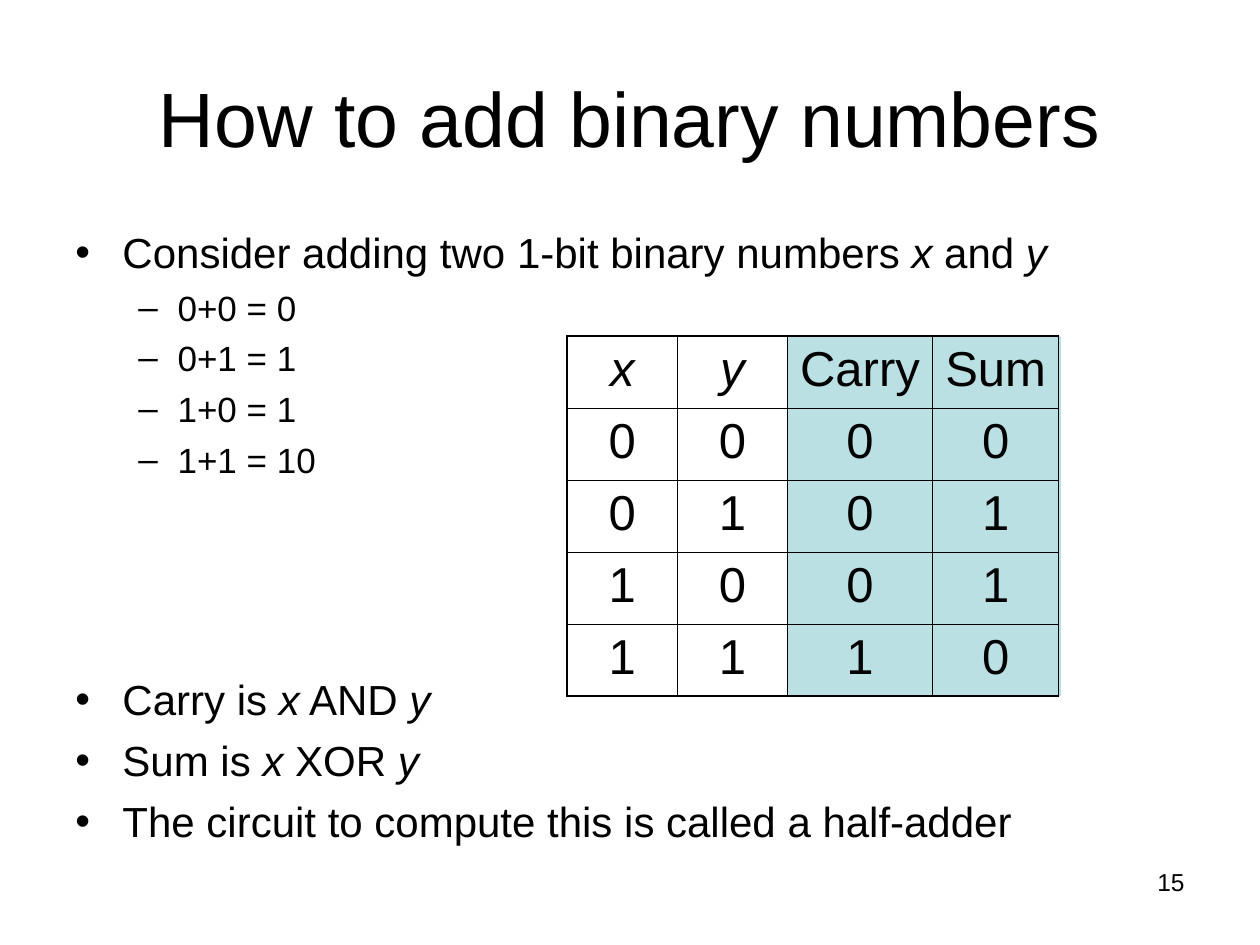
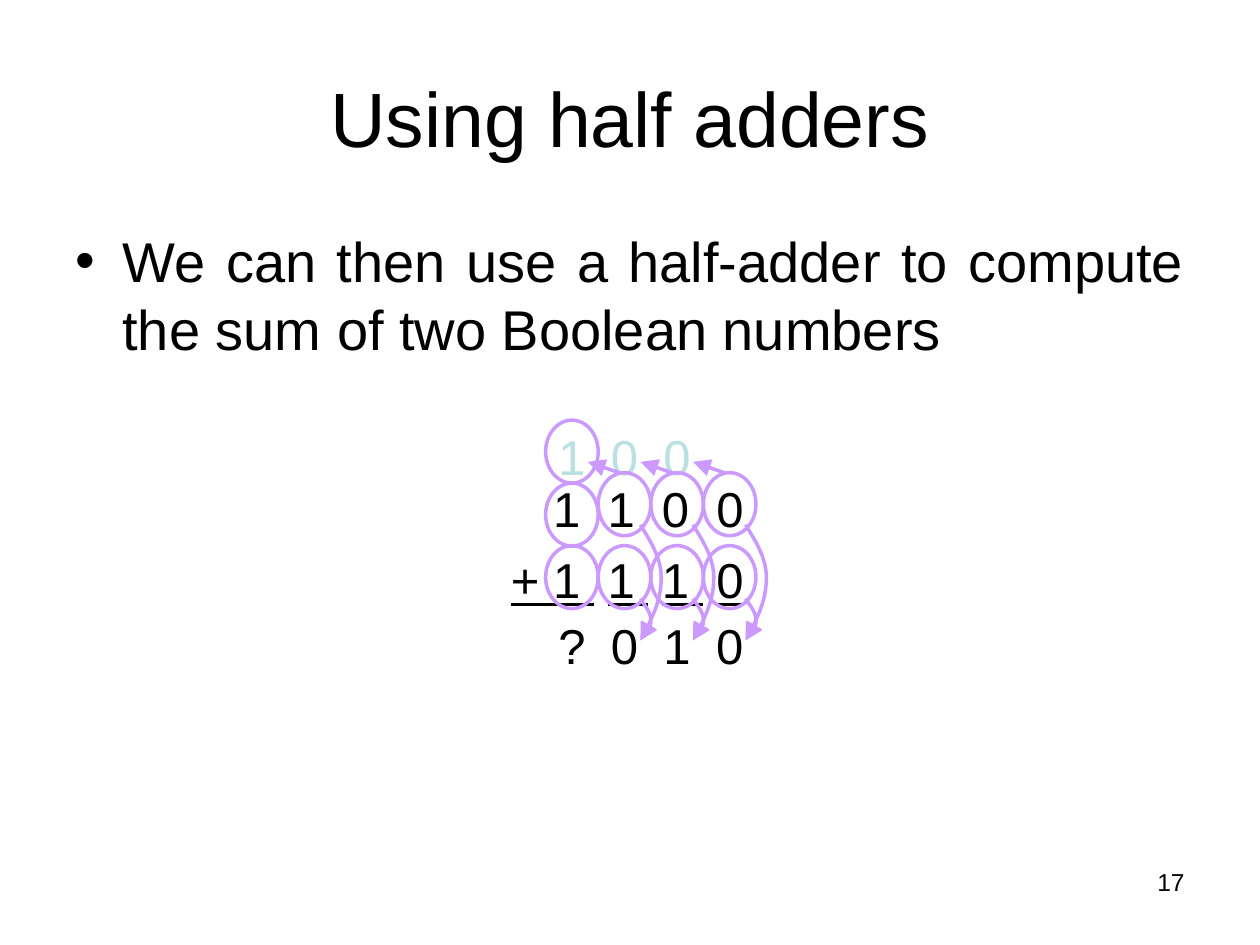
import pptx
import pptx.dml.color
import pptx.enum.shapes
import pptx.enum.text
import pptx.oxml
import pptx.oxml.ns
import pptx.util
from pptx.util import Cm

ALIGN = pptx.enum.text.PP_ALIGN
ANCHOR = pptx.enum.text.MSO_ANCHOR
SHAPE = pptx.enum.shapes.MSO_SHAPE
FONT = "Arial"
BLACK, TEAL, PURPLE = "000000", "BBE0E3", "CC99FF"

# Content: *...* marks italics, each line is (level, text)
ADD_TITLE = "How to add binary numbers"
ADD_EXAMPLES = [
    (0, "Consider adding two 1-bit binary numbers *x* and *y*"),
    (1, "0+0 = 0"),
    (1, "0+1 = 1"),
    (1, "1+0 = 1"),
    (1, "1+1 = 10"),
]
ADD_RULES = [
    (0, "Carry is *x* AND *y*"),
    (0, "Sum is *x* XOR *y*"),
    (0, "The circuit to compute this is called a half-adder"),
]
TRUTH_TABLE = [
    ["*x*", "*y*", "Carry", "Sum"],
    ["0", "0", "0", "0"],
    ["0", "1", "0", "1"],
    ["1", "0", "0", "1"],
    ["1", "1", "1", "0"],
]
TRUTH_LEFT, TRUTH_TOP = 11.43, 6.78
TRUTH_WIDTHS = [2.23, 2.21, 2.93, 2.54]
ROW_HEIGHT = 1.45
RESULT_BANDS = [(18.85, 2.54), (15.88, 2.97)]

HALF_TITLE = "Using half adders"
HALF_LINES = [(0, "We can then use a half-adder to compute the sum of two Boolean numbers")]
ADDENDS = [("", "1100"), ("+ ", "1110")]
CARRIES = "100"
SUMS = "?010"

# Geometry in centimetres
BULLETS = [("•", 0.95, -0.95), ("–", 2.06, -0.79)]
DIGIT_LEFT, DIGIT_STEP = 11, 1.06
CARRY_TOP, SUM_TOP, OVAL_HEIGHT = 8.47, 12.28, 1.27
CARRY_OVALS = [9.74, 11, CARRY_TOP]
PAIR_OVALS = [9.53, 11]
# Arrows of one column, x measured from the left of that column
CARRY_ARROW = [(0.42, 9.53), (-0.21, 9.31)]
SUM_ARROWS = [
    [(0.85, 12.07), (0.95, 12.22), (1.06, 12.34), (1.06, 12.5),
     (1.06, 12.62), (0.99, 12.7), (0.85, 12.91)],
    [(0.85, 10.58), (1.06, 10.92), (1.27, 11.25), (1.27, 11.64),
     (1.27, 12.04), (1.04, 12.6), (0.85, 12.91)],
]


def color(value):
    return pptx.dml.color.RGBColor.from_string(value)


def add_element(parent, tag, **attributes):
    element = pptx.oxml.parse_xml(f"<{tag} {pptx.oxml.ns.nsdecls('a')}/>")
    for name, value in attributes.items():
        element.set(name, str(value))
    parent.append(element)
    return element


# Text
def add_run(paragraph, text, size, fill=BLACK):
    run = paragraph.add_run()
    run.text = text
    run.font.name = FONT
    run.font.size = pptx.util.Pt(size)
    run.font.color.rgb = color(fill)
    return run


def write(paragraph, text, size, align, fill=BLACK):
    paragraph.alignment = align
    for index, part in enumerate(text.split("*")):
        if part:
            add_run(paragraph, part, size, fill).font.italic = index % 2 == 1


def add_box(slide, left, top, width, height):
    frame = slide.shapes.add_textbox(Cm(left), Cm(top), Cm(width), Cm(height)).text_frame
    frame.word_wrap = True
    return frame


def paragraphs(frame, count):
    for _ in range(count - 1):
        frame.add_paragraph()
    return frame.paragraphs


def add_bullets(slide, top, height, lines, sizes):
    frame = add_box(slide, 1.27, top, 22.86, height)
    for index, (paragraph, (level, text)) in enumerate(zip(paragraphs(frame, len(lines)), lines)):
        mark, margin, indent = BULLETS[level]
        paragraph.level = level
        properties = paragraph._p.get_or_add_pPr()
        properties.set("marL", str(Cm(margin)))
        properties.set("indent", str(Cm(indent)))
        add_element(properties, "a:buFont", typeface=FONT)
        add_element(properties, "a:buChar", char=mark)
        if index:
            paragraph.space_before = pptx.util.Pt(sizes[level] / 4)
        write(paragraph, text, sizes[level], ALIGN.JUSTIFY)


def add_slide(presentation, title, number):
    slide = presentation.slides.add_slide(presentation.slide_layouts[6])
    frame = add_box(slide, 18.2, 17.36, 5.93, 1.32)
    write(frame.paragraphs[0], str(number), 14, ALIGN.RIGHT)
    frame = add_box(slide, 1.27, 0.76, 22.86, 3.18)
    frame.vertical_anchor = ANCHOR.MIDDLE
    write(frame.paragraphs[0], title, 44, ALIGN.CENTER)
    return slide


# Truth table
def set_borders(cell, row, column):
    last_row, last_column = len(TRUTH_TABLE) - 1, len(TRUTH_WIDTHS) - 1
    outer = {"L": column == 0, "R": column == last_column, "T": row == 0, "B": row == last_row}
    properties = cell._tc.get_or_add_tcPr()
    for side, is_outer in outer.items():
        width = pptx.util.Pt(1.08 if is_outer else 0.45)
        line = add_element(properties, f"a:ln{side}", w=width)
        add_element(add_element(line, "a:solidFill"), "a:srgbClr", val=BLACK)


def add_truth_table(slide):
    rows, columns = len(TRUTH_TABLE), len(TRUTH_WIDTHS)
    height = Cm(rows * ROW_HEIGHT)
    for left, width in RESULT_BANDS:
        band = slide.shapes.add_shape(SHAPE.RECTANGLE, Cm(left), Cm(TRUTH_TOP), Cm(width), height)
        band.shadow.inherit = False
        band.fill.solid()
        band.fill.fore_color.rgb = color(TEAL)
        band.line.fill.background()
    table = slide.shapes.add_table(rows, columns, Cm(TRUTH_LEFT), Cm(TRUTH_TOP),
                                   Cm(sum(TRUTH_WIDTHS)), height).table
    table.first_row = table.horz_banding = False
    for column, width in enumerate(TRUTH_WIDTHS):
        table.columns[column].width = Cm(width)
    for row, values in enumerate(TRUTH_TABLE):
        table.rows[row].height = Cm(ROW_HEIGHT)
        for column, value in enumerate(values):
            cell = table.cell(row, column)
            set_borders(cell, row, column)
            cell.fill.background()
            write(cell.text_frame.paragraphs[0], value, 28, ALIGN.CENTER)


# Addition diagram
def column_left(column):
    return DIGIT_LEFT + column * DIGIT_STEP


def add_addends(slide):
    frame = add_box(slide, 9.74, 9.53, 5.5, 3.18)
    lines = paragraphs(frame, len(ADDENDS))
    for paragraph, (sign, digits) in zip(lines, ADDENDS):
        paragraph.alignment = ALIGN.RIGHT
        add_run(paragraph, sign + digits[0], 28)
        for digit in digits[1:]:
            gap = add_run(paragraph, " ", 28)
            gap.font._element.set("spc", "778")  # doubles the width of the space
            add_run(paragraph, digit, 28)
    lines[1].space_before = pptx.util.Pt(7)
    for run in lines[1].runs:
        run.font.underline = True


def add_digits(slide, digits, top, fill):
    for column, digit in enumerate(digits):
        frame = add_box(slide, column_left(column), top, DIGIT_STEP, 1.48)
        write(frame.paragraphs[0], digit, 28, ALIGN.CENTER, fill)


def style_line(shape, arrow=False):
    shape.line.color.rgb = color(PURPLE)
    shape.line.width = pptx.util.Pt(2)
    if arrow:
        add_element(shape.line._get_or_add_ln(), "a:tailEnd", type="triangle", w="lg", len="lg")


def add_ovals(slide, column, tops):
    group = slide.shapes.add_group_shape()
    for top in tops:
        oval = group.shapes.add_shape(SHAPE.OVAL, Cm(column_left(column)), Cm(top),
                                      Cm(DIGIT_STEP), Cm(OVAL_HEIGHT))
        oval.shadow.inherit = False
        oval.fill.background()
        style_line(oval)


def bend(freeform):
    """Turn each three straight segments into one cubic curve."""
    segments = list(freeform._element.iter(pptx.oxml.ns.qn("a:lnTo")))
    outline = segments[0].getparent()
    for start in range(0, len(segments), 3):
        cubic = add_element(outline, "a:cubicBezTo")
        for segment in segments[start:start + 3]:
            cubic.append(segment[0])
            outline.remove(segment)


def add_arrows(slide, column):
    group = slide.shapes.add_group_shape()
    left = column_left(column)
    for arrow in SUM_ARROWS:
        points = [(Cm(left + x), Cm(y)) for x, y in arrow]
        builder = group.shapes.build_freeform(*points[0])
        builder.add_line_segments(points[1:], close=False)
        curve = builder.convert_to_shape()
        bend(curve)
        curve.shadow.inherit = False
        curve.fill.background()
        style_line(curve, arrow=True)
    (x1, y1), (x2, y2) = CARRY_ARROW
    connector = group.shapes.add_connector(pptx.enum.shapes.MSO_CONNECTOR.STRAIGHT,
                                           Cm(left + x1), Cm(y1), Cm(left + x2), Cm(y2))
    style_line(connector, arrow=True)
    add_element(connector._element.spPr, "a:effectLst")


def main():
    presentation = pptx.Presentation()
    presentation.slide_width, presentation.slide_height = Cm(25.4), Cm(19.05)

    # Adding two bits
    slide = add_slide(presentation, ADD_TITLE, 15)
    add_bullets(slide, 4.45, 8.9, ADD_EXAMPLES, (24, 20))
    add_bullets(slide, 13.46, 4.32, ADD_RULES, (24, 20))
    add_truth_table(slide)

    # Adding longer numbers
    slide = add_slide(presentation, HALF_TITLE, 17)
    add_bullets(slide, 4.45, 13.33, HALF_LINES, (32,))
    add_addends(slide)
    add_digits(slide, SUMS, SUM_TOP, BLACK)
    add_digits(slide, CARRIES, CARRY_TOP, TEAL)
    add_ovals(slide, 0, CARRY_OVALS)
    for column in (3, 2, 1):
        add_ovals(slide, column, PAIR_OVALS)
        add_arrows(slide, column)

    presentation.save("out.pptx")


if __name__ == "__main__":
    main()
